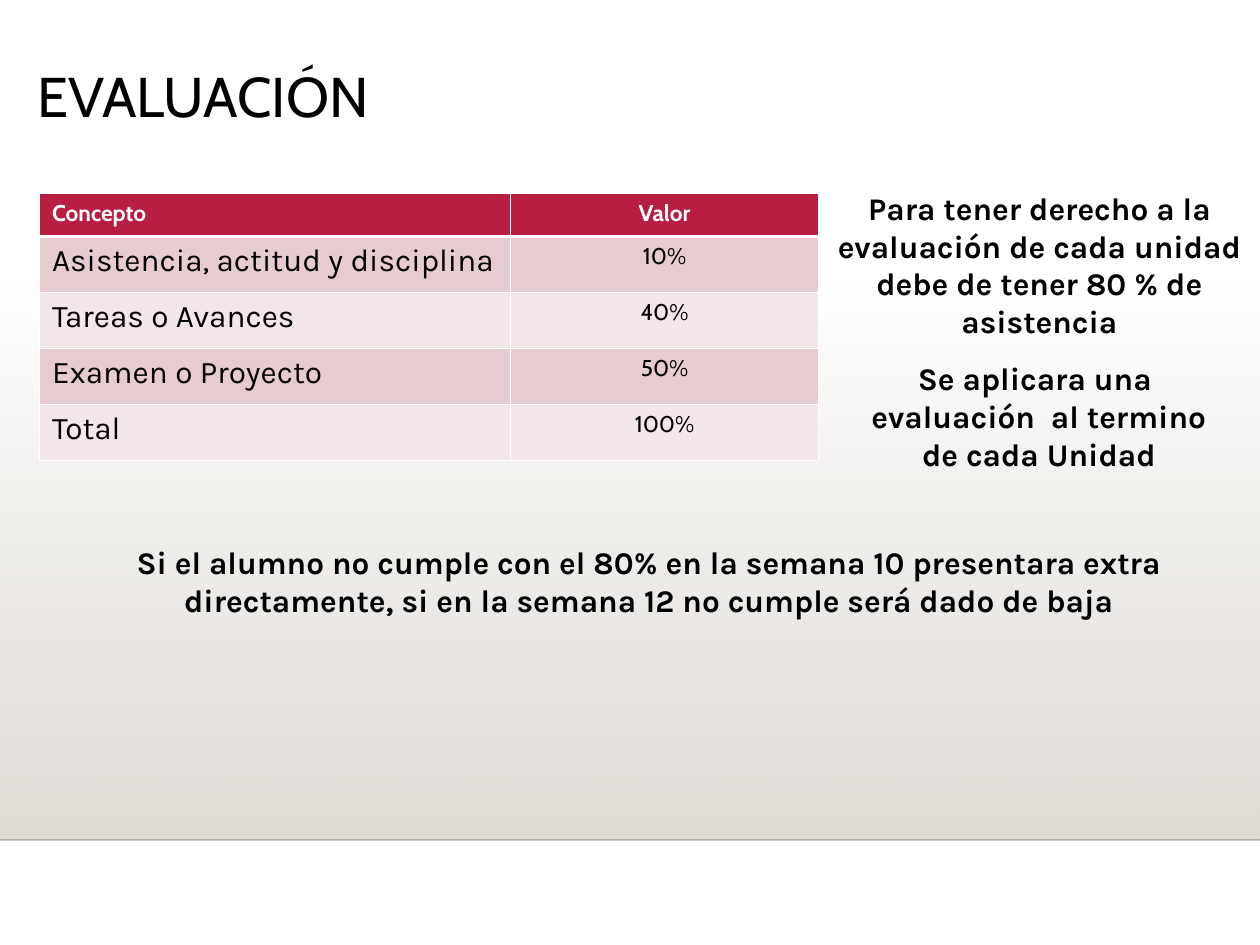
"""Build the course evaluation slide with its grading table and attendance rules."""
from dataclasses import dataclass
from typing import Any

import lxml.etree
import pptx
import pptx.dml.color
import pptx.enum.shapes
import pptx.enum.text
import pptx.oxml.ns
import pptx.util

Pt = pptx.util.Pt
qn = pptx.oxml.ns.qn
ALIGN = pptx.enum.text.PP_ALIGN


@dataclass(frozen=True)
class Style:
    font: str
    size: float
    color: str
    bold: bool = False


@dataclass(frozen=True)
class Theme:
    title: Style = Style("Cabin", 32, "000000")
    header: Style = Style("Cabin", 13, "FFFFFF", True)
    concept: Style = Style("Karla", 18, "000000")
    value: Style = Style("Cabin", 13, "000000")
    note: Style = Style("Karla", 18, "000000", True)
    header_fill: str = "B71E42"
    bands: tuple[str, str] = ("E6CCCF", "F3E7E9")
    border: str = "FFFFFF"
    floor: str = "DFDBD5"
    floor_line: str = "000001"
    thin: float = 0.45
    thick: float = 1.47


@dataclass(frozen=True)
class Note:
    text: str
    left: float
    top: float
    width: float
    height: float


THEME = Theme()
ROWS = [
    ("Concepto", "Valor"),
    ("Asistencia, actitud y disciplina", "10%"),
    ("Tareas o Avances", "40%"),
    ("Examen o Proyecto", "50%"),
    ("Total", "100%"),
]
NOTES = [
    Note("Para tener derecho a la evaluación de cada unidad debe de tener 80 % de asistencia",
         468, 104.4, 252, 93.6),
    Note("Se aplicara una  evaluación  al termino de cada Unidad",
         488.9, 201.6, 209.5, 93.6),
    Note("Si el alumno no cumple con el 80% en la semana 10 presentara extra directamente, "
         "si en la semana 12 no cumple será dado de baja",
         70.6, 306.7, 600.5, 72),
]


def rgb(color: str) -> pptx.dml.color.RGBColor:
    return pptx.dml.color.RGBColor.from_string(color)


def write(tf: Any, text: str, style: Style, align: Any) -> None:
    p = tf.paragraphs[0]
    p.alignment = align
    r = p.add_run()
    r.text = text
    r.font.name, r.font.size, r.font.bold = style.font, Pt(style.size), style.bold
    r.font.color.rgb = rgb(style.color)


def set_alpha(color: Any, percent: int) -> None:
    lxml.etree.SubElement(color, qn("a:alpha"), val=str(percent * 1000))


def draw_floor(s: Any, top: float, bottom: float, width: float) -> None:
    sp = s.shapes.add_shape(pptx.enum.shapes.MSO_SHAPE.RECTANGLE,
                            0, Pt(top), Pt(width), Pt(bottom - top))
    sp.shadow.inherit = False
    sp.line.fill.background()
    sp.fill.gradient()
    sp.fill.gradient_angle = 270
    for stop in sp.fill.gradient_stops:
        stop.color.rgb = rgb(THEME.floor)
    set_alpha(next(sp._element.spPr.iter(qn("a:srgbClr"))), 0)
    line = s.shapes.add_connector(pptx.enum.shapes.MSO_CONNECTOR.STRAIGHT,
                                  0, Pt(bottom), Pt(width), Pt(bottom))
    line.line.color.rgb = rgb(THEME.floor_line)
    line.line.width = Pt(1)
    set_alpha(next(line._element.spPr.iter(qn("a:srgbClr"))), 20)
    lxml.etree.SubElement(line._element.spPr, qn("a:effectLst"))


def draw_title(s: Any, text: str) -> None:
    sp = s.shapes.title
    sp.left, sp.top, sp.width, sp.height = Pt(14.4), Pt(36), Pt(756), Pt(82.8)
    tf = sp.text_frame
    tf.auto_size = pptx.enum.text.MSO_AUTO_SIZE.NONE
    tf.vertical_anchor = pptx.enum.text.MSO_ANCHOR.TOP
    write(tf, text, THEME.title, ALIGN.LEFT)
    tf.paragraphs[0].line_spacing = 0.9


def set_borders(cell: Any, top: float, bottom: float) -> None:
    tcPr = cell._tc.get_or_add_tcPr()
    for side, width in (("L", THEME.thin), ("R", THEME.thin), ("T", top), ("B", bottom)):
        ln = lxml.etree.SubElement(tcPr, qn(f"a:ln{side}"), w=str(int(Pt(width))))
        fill = lxml.etree.SubElement(ln, qn("a:solidFill"))
        lxml.etree.SubElement(fill, qn("a:srgbClr"), val=THEME.border)


def draw_table(s: Any, left: float, top: float, widths: tuple[float, ...],
               header_height: float, row_height: float) -> None:
    heights = [header_height] + [row_height] * (len(ROWS) - 1)
    table = s.shapes.add_table(len(ROWS), len(widths), Pt(left), Pt(top),
                               Pt(sum(widths)), Pt(sum(heights))).table
    for column, width in zip(table.columns, widths):
        column.width = Pt(width)
    for i, (row, height) in enumerate(zip(table.rows, heights)):
        row.height = Pt(height)
        fill = THEME.bands[(i - 1) % 2] if i else THEME.header_fill
        styles = (THEME.concept, THEME.value) if i else (THEME.header, THEME.header)
        for cell, text, style, align in zip(row.cells, ROWS[i], styles,
                                            (ALIGN.LEFT, ALIGN.CENTER)):
            set_borders(cell, THEME.thick if i == 1 else THEME.thin,
                        THEME.thick if i == 0 else THEME.thin)
            cell.fill.solid()
            cell.fill.fore_color.rgb = rgb(fill)
            write(cell.text_frame, text, style, align)


def draw_note(s: Any, note: Note) -> None:
    sp = s.shapes.add_textbox(Pt(note.left), Pt(note.top), Pt(note.width), Pt(note.height))
    tf = sp.text_frame
    tf.word_wrap = True
    tf.auto_size = pptx.enum.text.MSO_AUTO_SIZE.SHAPE_TO_FIT_TEXT
    write(tf, note.text, THEME.note, ALIGN.CENTER)


def main() -> None:
    prs = pptx.Presentation()
    prs.slide_width, prs.slide_height = Pt(720), Pt(540)
    s = prs.slides.add_slide(prs.slide_layouts[5])
    draw_floor(s, top=158.4, bottom=480, width=720)
    draw_title(s, "EVALUACIÓN")
    draw_table(s, 22.6, 110.5, (269, 176.3), 24.6, 32)
    for note in NOTES:
        draw_note(s, note)
    prs.save("out.pptx")


if __name__ == "__main__":
    main()
